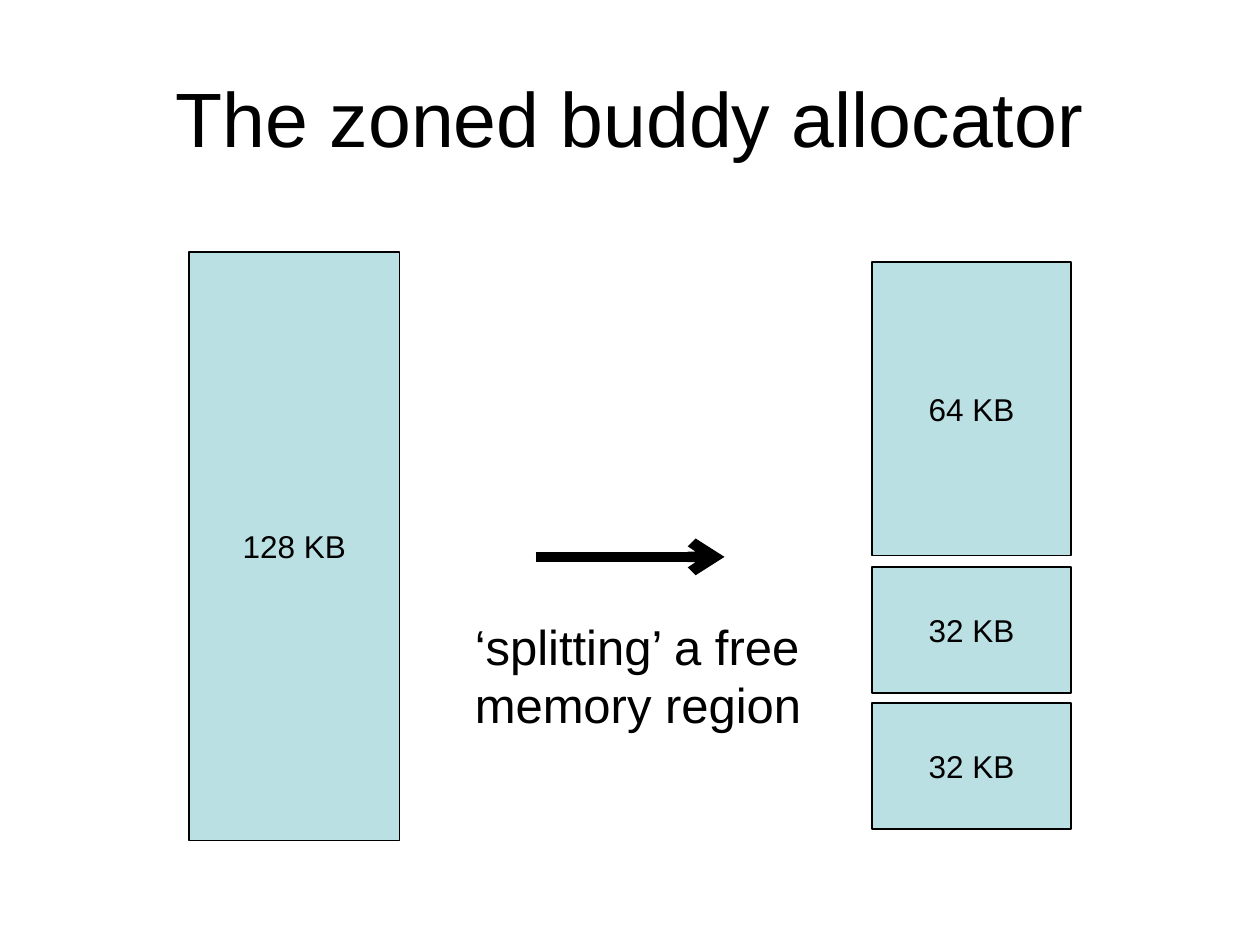
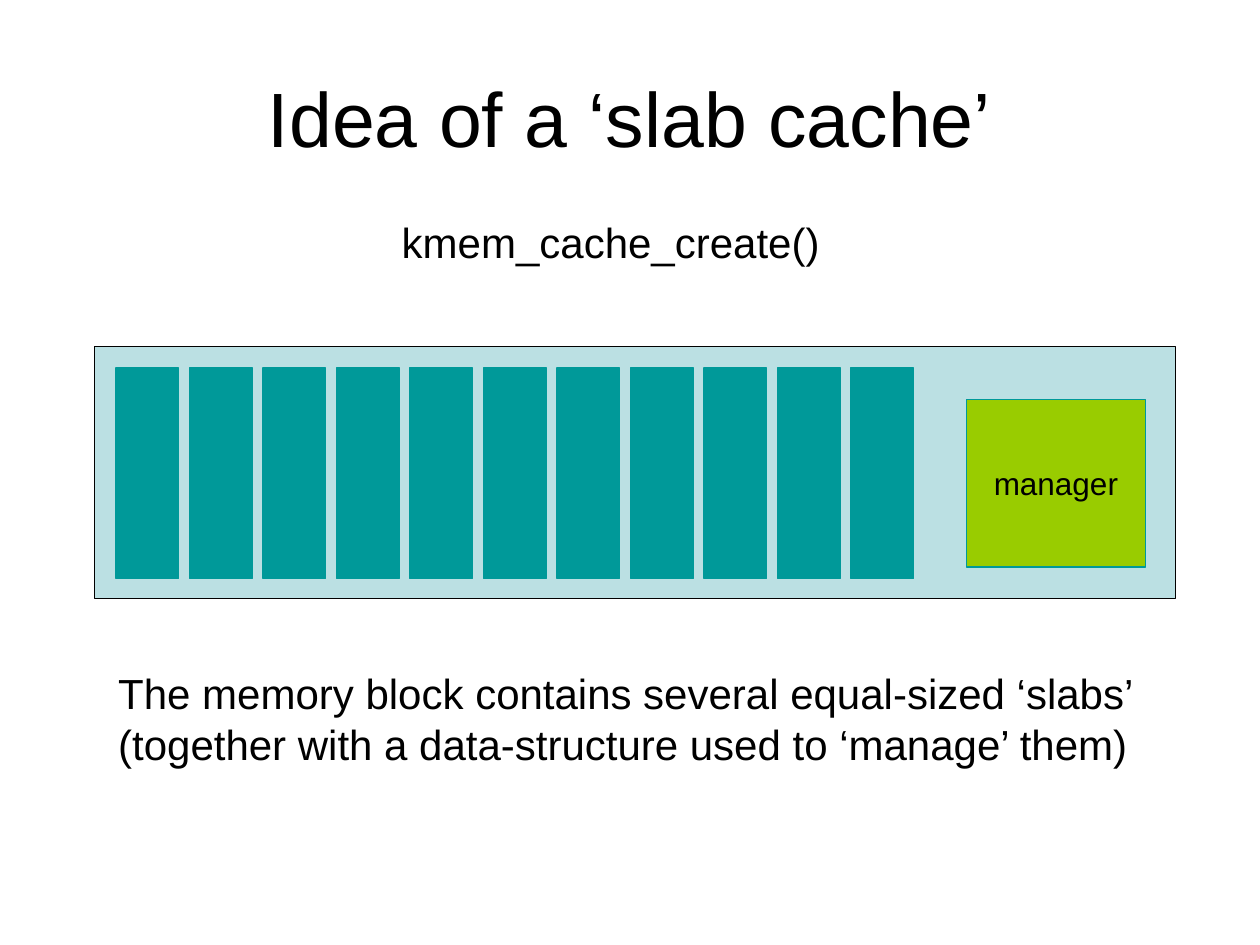
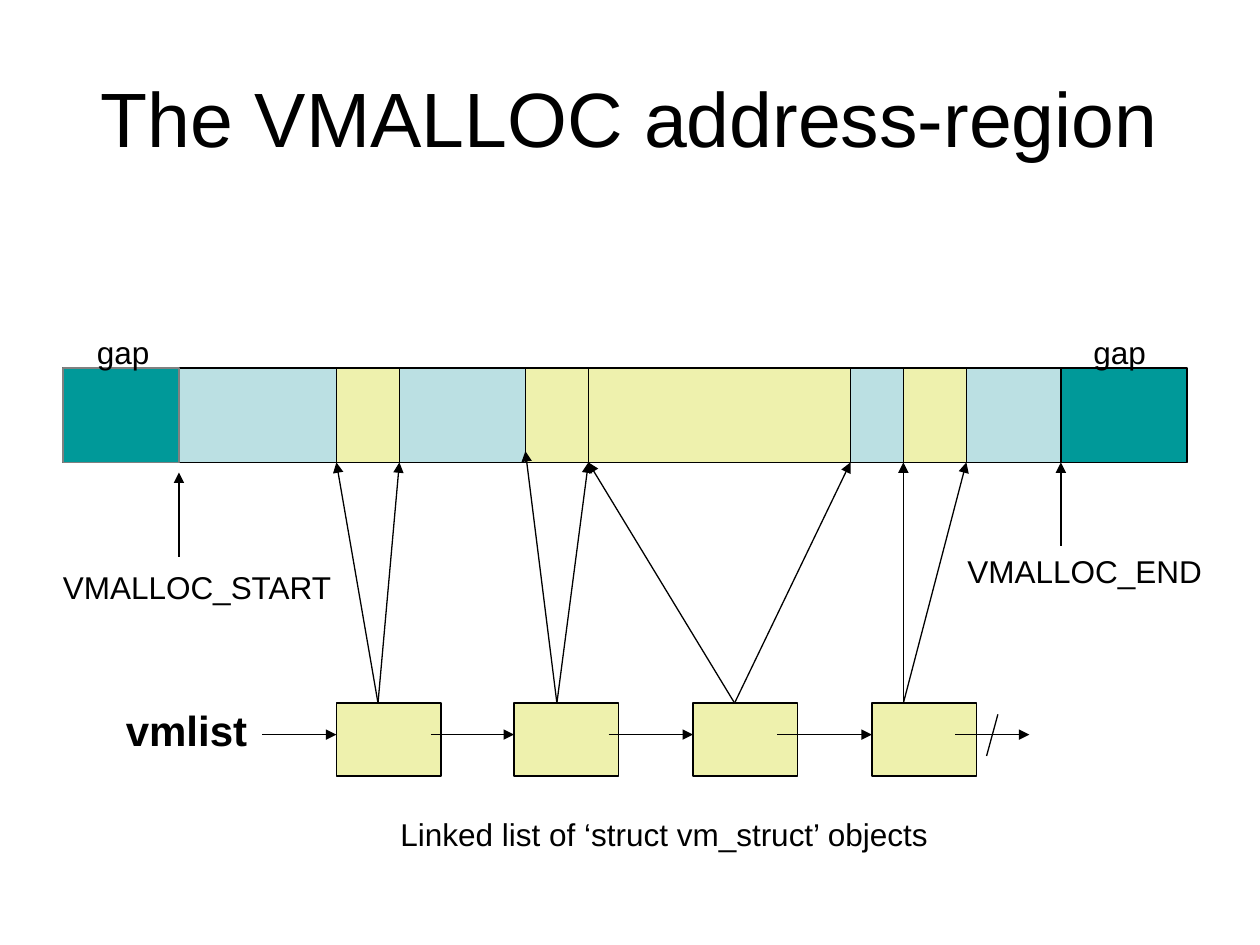
"""Build three slides on kernel memory allocation: buddy allocator, slab cache and VMALLOC region."""
from lxml import etree
from pptx import Presentation
from pptx import util as u
from pptx.dml.color import RGBColor
from pptx.enum import shapes, text
from pptx.oxml import ns

BLACK = RGBColor(0x00, 0x00, 0x00)
GREY = RGBColor(0x80, 0x80, 0x80)
PALE_BLUE = RGBColor(0xBB, 0xE0, 0xE3)
TEAL = RGBColor(0x00, 0x99, 0x99)
GREEN = RGBColor(0x99, 0xCC, 0x00)
YELLOW = RGBColor(0xEE, 0xF1, 0xAD)
FONT = "Arial"


def add_box(slide, at, label="", size=18, fill=None, outline=BLACK, bold=False):
    """Add a filled block with a centred label, or a plain caption if there is no fill."""
    place = [u.Inches(value) for value in at]
    if fill is None:
        box = slide.shapes.add_textbox(*place)
        align = text.PP_ALIGN.LEFT
        frame_format = {"word_wrap": False, "auto_size": text.MSO_AUTO_SIZE.SHAPE_TO_FIT_TEXT}
    else:
        box = slide.shapes.add_shape(shapes.MSO_SHAPE.RECTANGLE, *place)
        box.shadow.inherit = False
        box.fill.solid()
        box.fill.fore_color.rgb = fill
        box.line.color.rgb = outline
        box.line.width = u.Pt(0.75)
        align = text.PP_ALIGN.CENTER
        frame_format = {"word_wrap": False, "vertical_anchor": text.MSO_ANCHOR.MIDDLE}
    if label:
        for name, value in frame_format.items():
            setattr(box.text_frame, name, value)
        box.text_frame.text = label
        for paragraph in box.text_frame.paragraphs:
            paragraph.alignment = align
            for name, value in {"name": FONT, "size": u.Pt(size), "bold": bold}.items():
                setattr(paragraph.font, name, value)
            paragraph.font.color.rgb = BLACK


def add_line(slide, start, end, width=0.75, tip="triangle"):
    """Add a black line from start to end, with an arrowhead at the end if tip is set."""
    ends = [u.Inches(value) for value in (*start, *end)]
    line = slide.shapes.add_connector(shapes.MSO_CONNECTOR.STRAIGHT, *ends)
    line.line.color.rgb = BLACK
    line.line.width = u.Pt(width)
    if tip:
        etree.SubElement(line.line._get_or_add_ln(), ns.qn("a:tailEnd"), type=tip)
    etree.SubElement(line._element.spPr, ns.qn("a:effectLst"))


prs = Presentation()
prs.slide_width, prs.slide_height = u.Inches(10), u.Inches(7.5)

title_place = {"left": 0.5, "top": 0.3, "width": 9, "height": 1.25}
title_frame = {"vertical_anchor": text.MSO_ANCHOR.MIDDLE, "auto_size": text.MSO_AUTO_SIZE.NONE}
title_font = {"name": FONT, "size": u.Pt(44), "bold": False}
for heading in ("The zoned buddy allocator", "Idea of a ‘slab cache’", "The VMALLOC address-region"):
    title = prs.slides.add_slide(prs.slide_layouts[5]).shapes.title
    for name, value in title_place.items():
        setattr(title, name, u.Inches(value))
    title.text_frame.text = heading
    for name, value in title_frame.items():
        setattr(title.text_frame, name, value)
    paragraph = title.text_frame.paragraphs[0]
    paragraph.alignment = text.PP_ALIGN.CENTER
    for name, value in title_font.items():
        setattr(paragraph.font, name, value)
    paragraph.font.color.rgb = BLACK
buddy, slab_cache, vmalloc = prs.slides

add_box(buddy, (1.5, 2, 1.67, 4.67), "128 KB", fill=PALE_BLUE)
for top, height, region in ((2.08, 2.33, "64 KB"), (4.5, 1, "32 KB"), (5.58, 1, "32 KB")):
    add_box(buddy, (6.92, top, 1.58, height), region, fill=PALE_BLUE)
add_box(buddy, (3.67, 4.84, 2.8, 1.04), "‘splitting’ a free\nmemory region", 28)
add_line(buddy, (4.25, 4.42), (5.75, 4.42), width=6, tip="arrow")

add_box(slab_cache, (0.75, 2.75, 8.58, 2), fill=PALE_BLUE)
add_box(slab_cache, (7.67, 3.17, 1.42, 1.33), "manager", fill=GREEN, outline=TEAL)
slab_pitch = 7 / 12
for slab in range(11):
    add_box(slab_cache, (0.92 + slab * slab_pitch, 2.92, 0.5, 1.67), fill=TEAL, outline=TEAL)
add_box(slab_cache, (0.84, 5.25, 8.26, 0.9),
        "The memory block contains several equal-sized ‘slabs’\n"
        "(together with a data-structure used to ‘manage’ them)", 24)
add_box(slab_cache, (3.09, 1.67, 3.54, 0.5), "kmem_cache_create()", 24)

region_top, region_height = 2.92, 0.75
region_bottom = region_top + region_height
for left, width, fill, outline in (
    (0.5, 8.92, PALE_BLUE, BLACK),
    (0.5, 0.92, TEAL, GREY),
    (8.42, 1, TEAL, BLACK),
    (2.67, 0.5, YELLOW, BLACK),
    (4.17, 0.5, YELLOW, BLACK),
    (4.67, 2.08, YELLOW, BLACK),
    (7.17, 0.5, YELLOW, BLACK),
):
    add_box(vmalloc, (left, region_top, width, region_height), fill=fill, outline=outline)

node_top, link_y = 5.58, 5.83
for node_left in (2.67, 4.08, 5.5, 6.92):
    add_box(vmalloc, (node_left, node_top, 0.83, 0.58), fill=YELLOW)
for link_start, link_end in ((2.08, 2.67), (3.42, 4.08), (4.83, 5.5), (6.17, 6.92), (7.58, 8.17)):
    add_line(vmalloc, (link_start, link_y), (link_end, link_y))
add_line(vmalloc, (7.92, 5.67), (7.83, 6), tip=None)

for node_x, area_start, area_end in (
    (3, (2.67, region_bottom), (3.17, region_bottom)),
    (4.42, (4.17, 3.58), (4.67, region_bottom)),
    (5.83, (4.67, region_bottom), (6.75, region_bottom)),
    (7.17, (7.17, region_bottom), (7.67, region_bottom)),
):
    for area_edge in (area_start, area_end):
        add_line(vmalloc, (node_x, node_top), area_edge)
add_line(vmalloc, (1.42, 4.42), (1.42, 3.75))
add_line(vmalloc, (8.42, 4.33), (8.42, region_bottom))

for left, top, width, caption in (
    (0.4, 4.46, 2.35, "VMALLOC_START"),
    (7.58, 4.33, 2.08, "VMALLOC_END"),
    (3.08, 6.42, 4.4, "Linked list of ‘struct vm_struct’ objects"),
    (0.67, 2.59, 0.64, "gap"),
    (8.58, 2.59, 0.64, "gap"),
):
    add_box(vmalloc, (left, top, width, 0.4), caption)
add_box(vmalloc, (0.9, 5.54, 1.18, 0.5), "vmlist", 24, bold=True)

prs.save("out.pptx")
